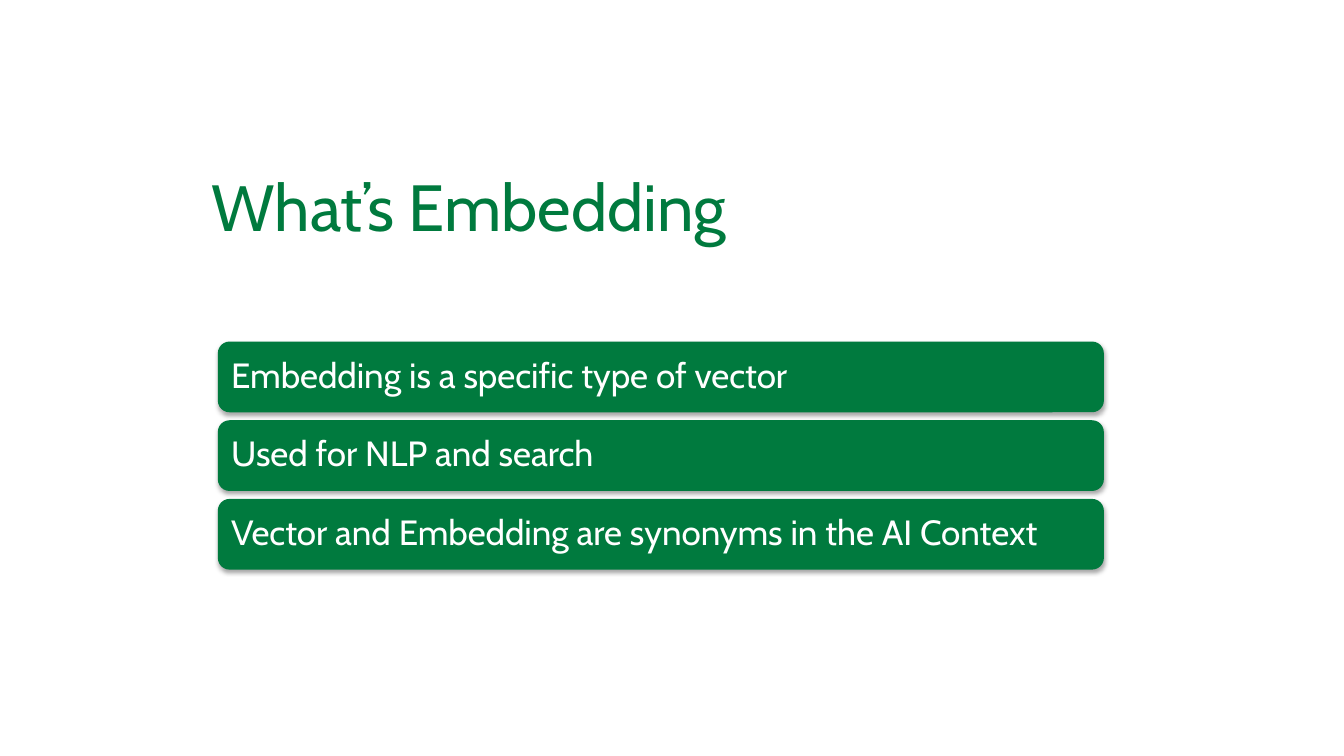
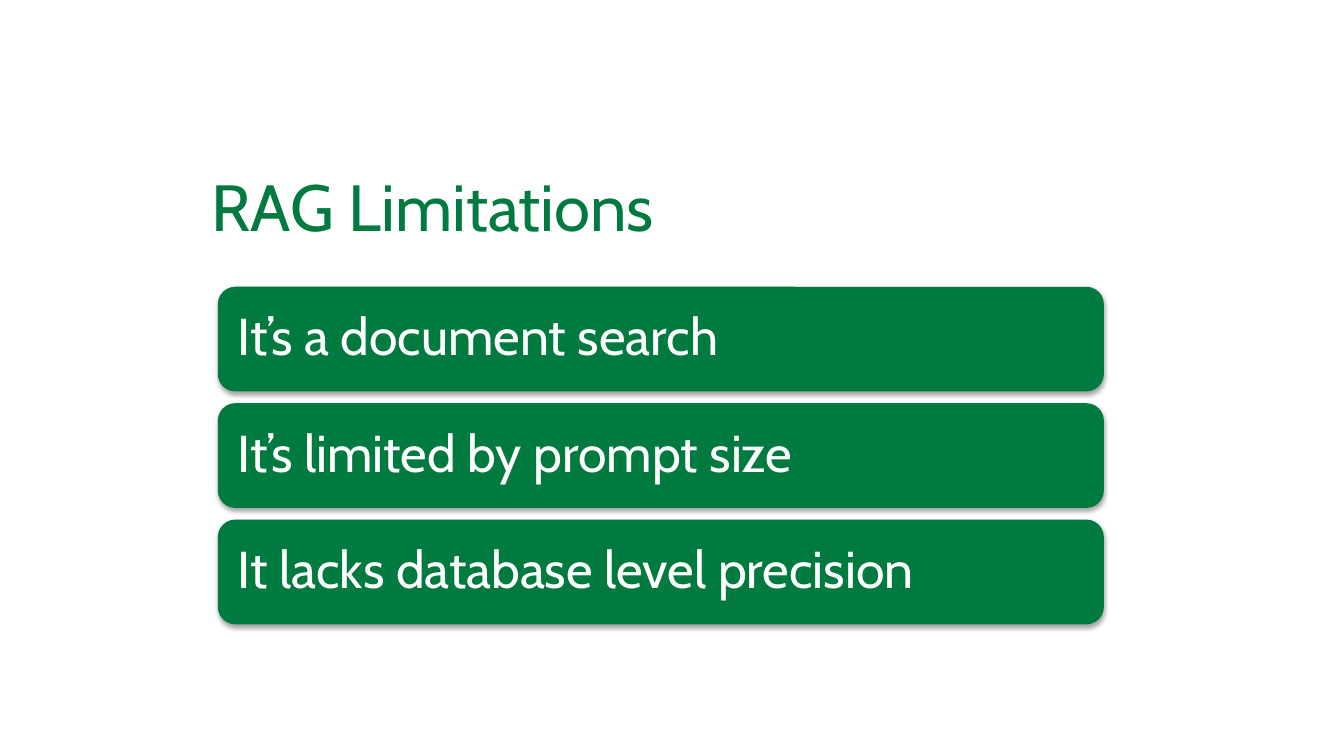
from lxml import etree
from pptx import Presentation
from pptx import util as u
from pptx.dml.color import RGBColor
from pptx.enum import shapes, text
from pptx.oxml.ns import qn

# Content: title, text size of the bars in points, one line per bar
SLIDES = [
    ("What’s Embedding", 25, [
        "Embedding is a specific type of vector",
        "Used for NLP and search",
        "Vector and Embedding are synonyms in the AI Context",
    ]),
    ("RAG Limitations", 37, [
        "It’s a document search",
        "It’s limited by prompt size",
        "It lacks database level precision",
    ]),
]

# Shared style
COLORS = {"green": "007A3E", "white": "FFFFFF", "shadow": "000000"}
FONT = "Cabin"
TITLE_SIZE = 46.6
TITLE_BOX = (5.33, 4.11, 22.66, 2.11)  # left, top, width, height in cm
BAR_LEFT, BAR_WIDTH = 5.49, 22.33
STACK_MIDDLE = 11.48
# Bar measures in cm per point of text size
HEIGHT_RATIO, GAP_RATIO, INSET_RATIO = 0.0713, 0.008, 0.01


def write(shape, words, size, color, inset):
    """Put one left-aligned, vertically centred line into a shape."""
    frame = shape.text_frame
    frame.word_wrap = True
    frame.vertical_anchor = text.MSO_ANCHOR.MIDDLE
    frame.margin_left = frame.margin_right = u.Cm(inset)
    frame.margin_top = frame.margin_bottom = u.Cm(inset)
    line = frame.paragraphs[0]
    line.text = words
    line.alignment = text.PP_ALIGN.LEFT
    line.font.name = FONT
    line.font.size = u.Pt(size)
    line.font.color.rgb = RGBColor.from_string(COLORS[color])
    return line


def add_shadow(shape):
    """Give a shape a soft shadow straight below it."""
    shape.shadow.inherit = False
    effects = shape.element.spPr.find(qn("a:effectLst"))
    shadow = etree.SubElement(
        effects, qn("a:outerShdw"), blurRad=str(u.Pt(3.1)),
        dist=str(u.Pt(1.8)), dir="5400000", rotWithShape="0")
    tint = etree.SubElement(shadow, qn("a:srgbClr"), val=COLORS["shadow"])
    etree.SubElement(tint, qn("a:alpha"), val="35000")


def add_title(slide, words):
    box = slide.shapes.add_textbox(*map(u.Cm, TITLE_BOX))
    write(box, words, TITLE_SIZE, "green", 0)


def add_bars(slide, lines, size):
    """Stack the bars around the shared middle, scaled to the text size."""
    height, gap = HEIGHT_RATIO * size, GAP_RATIO * size
    pitch = height + gap
    top = STACK_MIDDLE - (len(lines) * pitch - gap) / 2
    for row, words in enumerate(lines):
        bar = slide.shapes.add_shape(
            shapes.MSO_SHAPE.ROUNDED_RECTANGLE, u.Cm(BAR_LEFT),
            u.Cm(top + row * pitch), u.Cm(BAR_WIDTH), u.Cm(height))
        bar.fill.solid()
        bar.fill.fore_color.rgb = RGBColor.from_string(COLORS["green"])
        bar.line.fill.background()
        add_shadow(bar)
        write(bar, words, size, "white", INSET_RATIO * size).line_spacing = 0.9


def main():
    deck = Presentation()
    deck.slide_width, deck.slide_height = u.Cm(33.87), u.Cm(19.05)
    blank = deck.slide_layouts[6]
    for title, size, lines in SLIDES:
        slide = deck.slides.add_slide(blank)
        add_title(slide, title)
        add_bars(slide, lines, size)
    deck.save("out.pptx")


if __name__ == "__main__":
    main()
